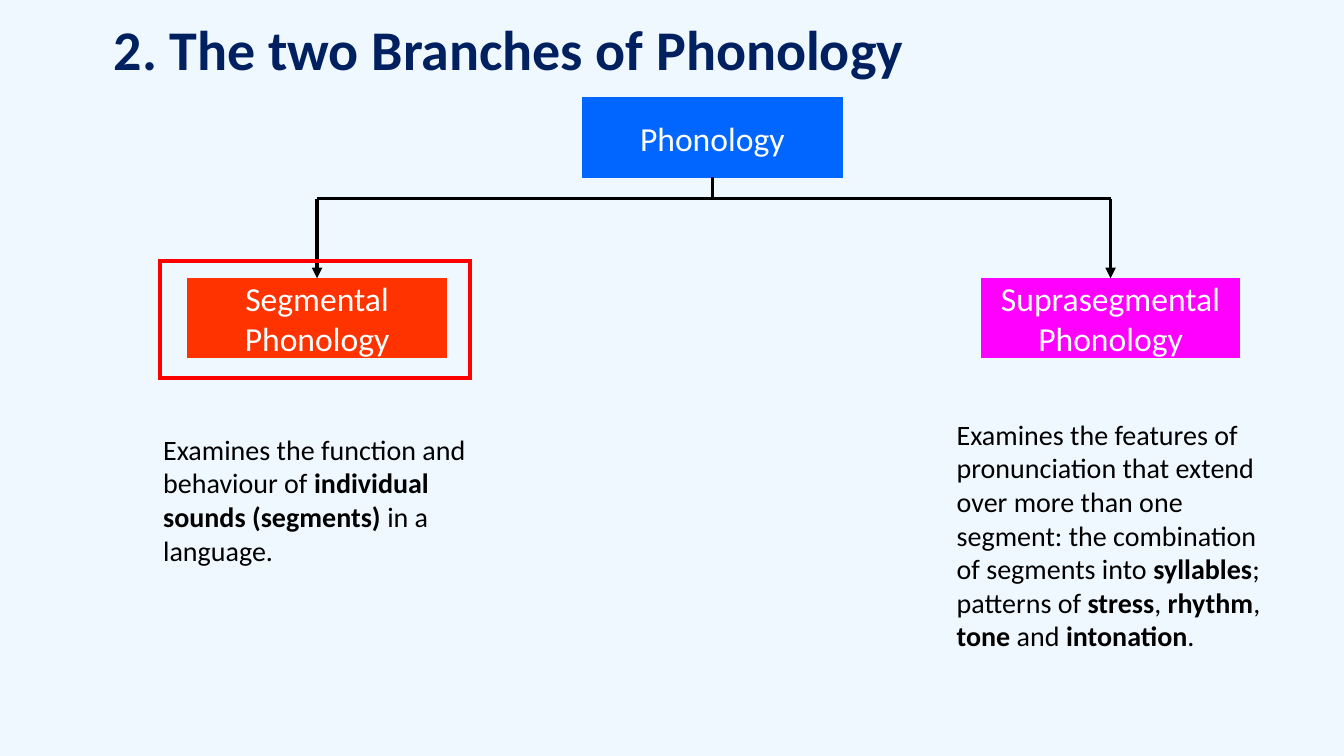
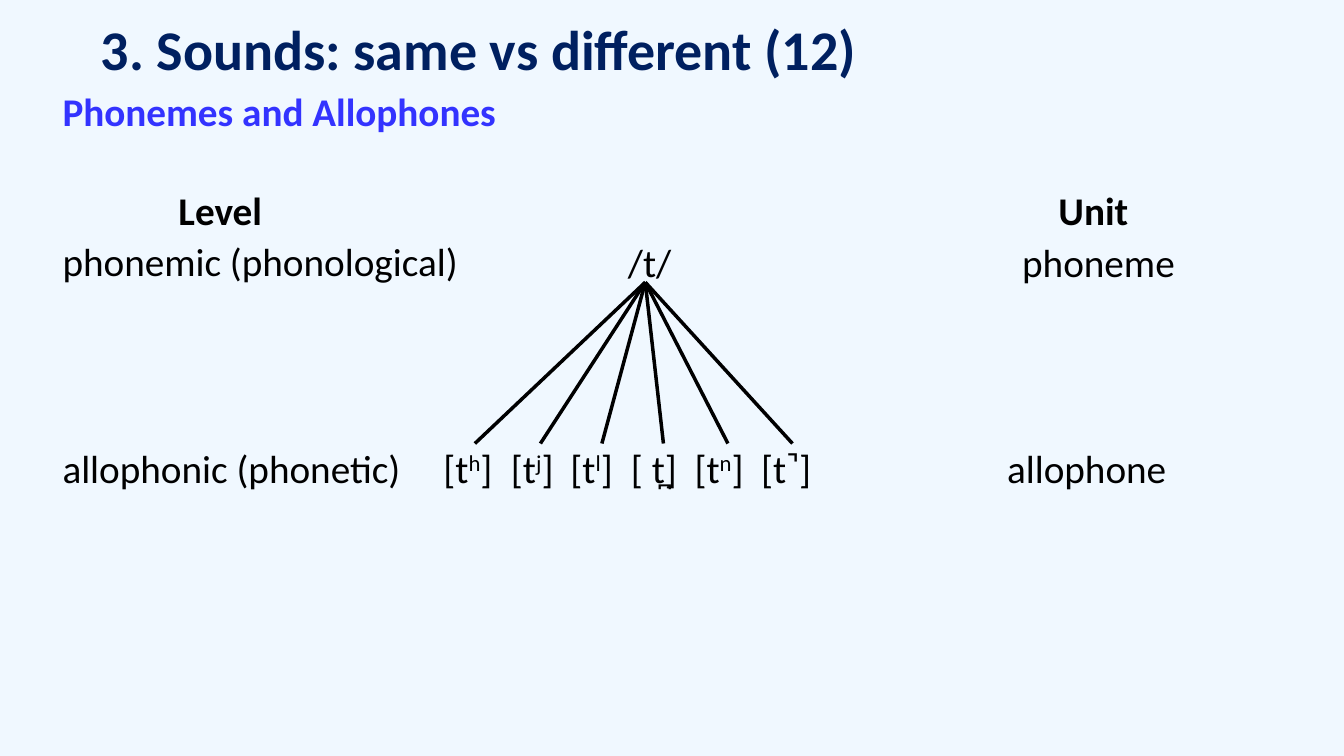
from lxml.etree import SubElement
from pptx import Presentation
from pptx.dml.color import RGBColor
from pptx.enum.shapes import MSO_CONNECTOR, MSO_SHAPE
from pptx.enum.text import MSO_ANCHOR, MSO_AUTO_SIZE, PP_ALIGN
from pptx.oxml.ns import qn
from pptx.util import Inches, Pt

FONT = "Calibri"
BACKGROUND, NAVY, INDIGO = "F0F8FF", "002060", "3333FF"
BLUE, ORANGE, MAGENTA, RED = "0066FF", "FF3300", "FF00FF", "FF0000"
BLACK, WHITE = "000000", "FFFFFF"
BOX_W, BOX_H = 2.57, 0.79


def rgb(value):
    return RGBColor.from_string(value)


def assign(target, values):
    for name, value in values.items():
        setattr(target, name, value)


def add_runs(paragraph, marked, size, color, bold=False):
    runs = []
    for text in marked.split("*"):
        run = paragraph.add_run()
        run.text = text
        assign(run.font, {"name": FONT, "size": Pt(size), "bold": bold})
        run.font.color.rgb = rgb(color)
        runs.append(run)
    return runs[1::2]


def place(shape, box):
    assign(shape, dict(zip(("left", "top", "width", "height"), map(Inches, box))))


def add_title(slide, text, left):
    title = slide.shapes.title
    place(title, (left, 0.12, 10.14, 0.79))
    assign(title.text_frame, {"vertical_anchor": MSO_ANCHOR.MIDDLE,
                              "auto_size": MSO_AUTO_SIZE.NONE, "word_wrap": True})
    paragraph = title.text_frame.paragraphs[0]
    assign(paragraph, {"alignment": PP_ALIGN.LEFT, "line_spacing": 0.9})
    add_runs(paragraph, text, 40, NAVY, True)


def add_box(slide, box, fill=None, outline=None, weight=1, label=None):
    shape = slide.shapes.add_shape(MSO_SHAPE.FLOWCHART_PROCESS, *map(Inches, box))
    shape.shadow.inherit = False
    if fill:
        shape.fill.solid()
        shape.fill.fore_color.rgb = rgb(fill)
    else:
        shape.fill.background()
    if outline:
        shape.line.color.rgb = rgb(outline)
        shape.line.width = Pt(weight)
        SubElement(shape.line._get_or_add_ln(), qn("a:miter"), lim="800000")
    else:
        shape.line.fill.background()
    if label:
        assign(shape.text_frame, {"vertical_anchor": MSO_ANCHOR.MIDDLE, "word_wrap": True})
        paragraph = shape.text_frame.paragraphs[0]
        paragraph.alignment = PP_ALIGN.CENTER
        add_runs(paragraph, label, 24, WHITE)
    return shape


def add_line(slide, start, end, arrow=False):
    line = slide.shapes.add_connector(MSO_CONNECTOR.STRAIGHT, *map(Inches, start + end))
    line.line.color.rgb = rgb(BLACK)
    line.line.width = Pt(2.5)
    if arrow:
        SubElement(line.line._get_or_add_ln(), qn("a:tailEnd"), type="triangle")
    SubElement(line._element.spPr, qn("a:effectLst"))
    return line


def add_description(slide, box, marked):
    frame = slide.shapes.add_textbox(*map(Inches, box)).text_frame
    assign(frame, {"word_wrap": True, "auto_size": MSO_AUTO_SIZE.SHAPE_TO_FIT_TEXT})
    for run in add_runs(frame.paragraphs[0], marked, 20, BLACK):
        run.font.bold = True


def add_branch(slide, box, bus_y, label, fill):
    left, top, width, height = box
    center = left + width / 2
    branch = add_box(slide, box, fill, label=label)
    add_line(slide, (center, bus_y), (center, top), arrow=True).end_connect(branch, 0)


def build_branches(prs):
    slide = prs.slides.add_slide(prs.slide_layouts[5])
    add_title(slide, "2. The two Branches of Phonology", 1.03)
    root_left, root_top, bus_y, branch_top = 5.78, 0.97, 1.97, 2.76
    root = add_box(slide, (root_left, root_top, BOX_W, BOX_H), BLUE, BLUE, label="Phonology")
    root_center = root_left + BOX_W / 2
    stem = add_line(slide, (root_center, root_top + BOX_H), (root_center, bus_y))
    stem.begin_connect(root, 2)

    branches = [
        (1.86, "Segmental Phonology", ORANGE, 4.24, 1.45,
         "Examines the function and behaviour of *individual sounds (segments) *in a language."),
        (9.73, "Suprasegmental Phonology", MAGENTA, 4.09, 2.46,
         "Examines the features of pronunciation that extend over more than one segment: "
         "the combination of segments into *syllables*; patterns of *stress*, *rhythm*, "
         "*tone* and *intonation*."),
    ]
    centers = [left + BOX_W / 2 for left, *_ in branches]
    add_line(slide, (centers[0], bus_y), (centers[-1], bus_y))
    for left, label, fill, text_top, text_height, description in branches:
        add_branch(slide, (left, branch_top, BOX_W, BOX_H), bus_y, label, fill)
        add_description(slide, (left - 0.34, text_top, 3.24, text_height), description)
    add_box(slide, (1.59, 2.59, 3.07, 1.16), outline=RED, weight=3)


def add_row(paragraph, marked, before=10, color=BLACK, bold=False, margin=0):
    assign(paragraph, {"line_spacing": 0.8, "space_before": Pt(before),
                       "alignment": PP_ALIGN.LEFT})
    properties = paragraph._p.get_or_add_pPr()
    properties.set("marL", str(int(Inches(margin))))
    properties.set("indent", "0")
    SubElement(properties, qn("a:buNone"))
    for run in add_runs(paragraph, marked, 28, color, bold):
        run._r.get_or_add_rPr().set("baseline", "30000")


def add_levels(slide, box):
    body = slide.placeholders[1]
    place(body, box)
    frame = body.text_frame
    assign(frame, {"auto_size": MSO_AUTO_SIZE.NONE, "word_wrap": True,
                   "vertical_anchor": MSO_ANCHOR.TOP})
    rows = [
        ("Phonemes and Allophones", 10, INDIGO, True),
        ("Level", 43.4, BLACK, True, 1.15),
        ("phonemic (phonological)",),
        ("allophonic (phonetic)", 120.6),
    ]
    for index, row in enumerate(rows):
        add_row(frame.add_paragraph() if index else frame.paragraphs[0], *row)


def add_units(slide, top, units, bold=False):
    for left, unit in units:
        frame = slide.shapes.add_textbox(*map(Inches, (left, top, 2, 0.5))).text_frame
        assign(frame, {"word_wrap": True, "auto_size": MSO_AUTO_SIZE.NONE})
        add_row(frame.paragraphs[0], unit, bold=bold)


def add_fan(slide, apex, end_y, ends):
    for end_x in ends:
        add_line(slide, apex, (end_x, end_y))


def build_allophones(prs):
    slide = prs.slides.add_slide(prs.slide_layouts[1])
    add_title(slide, "3. Sounds: same vs different (12)", 0.9)
    add_levels(slide, (0.52, 0.91, 12.39, 6.51))
    add_units(slide, 1.89, [(10.4, "Unit")], bold=True)
    add_units(slide, 2.41, [(6.13, "/t/"), (10.04, "phoneme")])
    add_units(slide, 4.45, [(4.3, "[t*h*]"), (4.97, "[t*j*]"), (5.56, "[t*l*]"),
                            (6.16, "[ t̪]"), (6.79, "[t*n*]"), (7.45, "[t˺]"),
                            (9.89, "allophone")])
    add_fan(slide, (6.4, 2.8), 4.4, (4.71, 5.36, 5.97, 6.58, 7.22, 7.86))


def main():
    prs = Presentation()
    assign(prs, {"slide_width": Inches(13.33), "slide_height": Inches(7.5)})
    backdrop = prs.slide_master.background.fill
    backdrop.solid()
    backdrop.fore_color.rgb = rgb(BACKGROUND)
    build_branches(prs)
    build_allophones(prs)
    prs.save("out.pptx")


if __name__ == "__main__":
    main()
